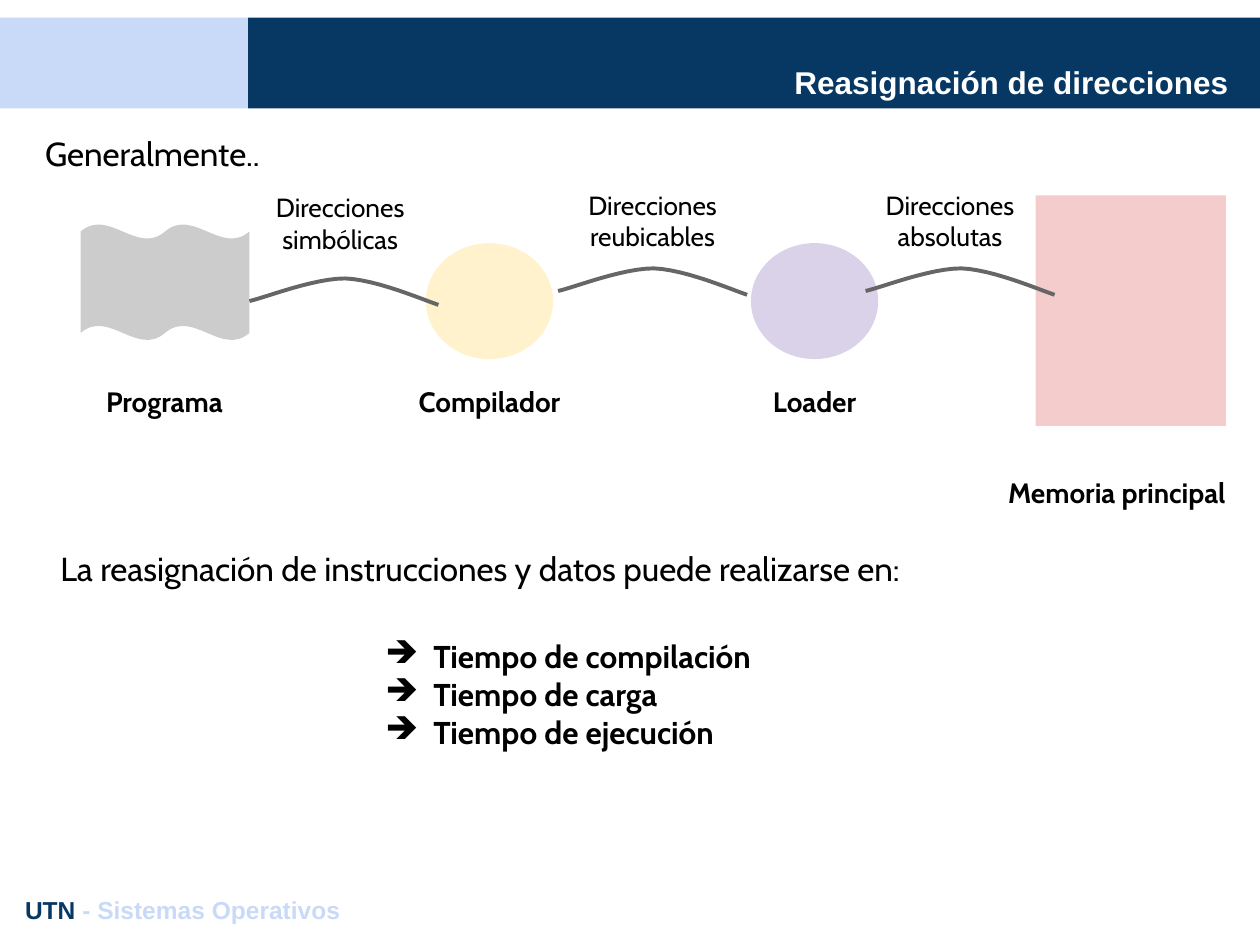
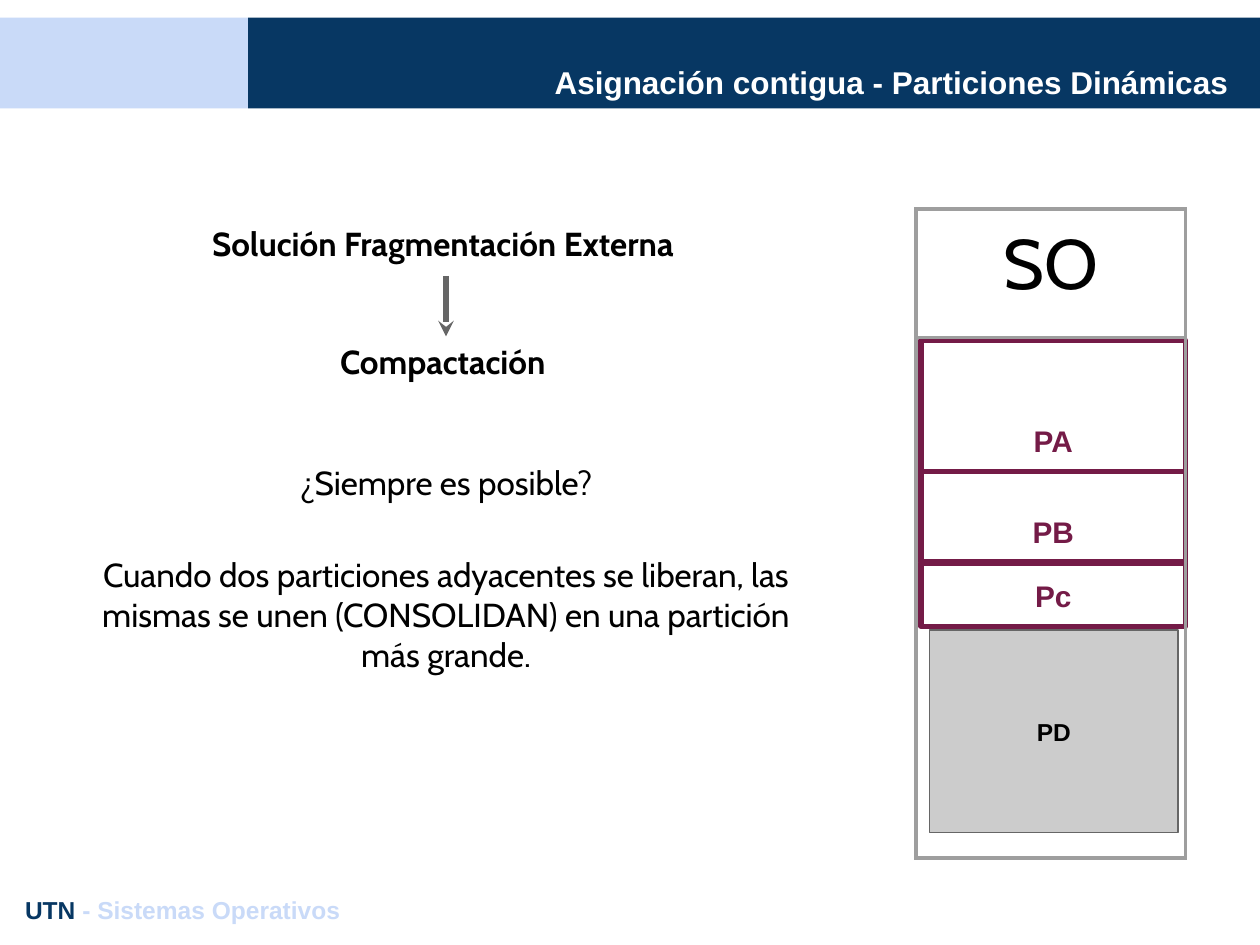
from typing import NamedTuple

from lxml import etree
from pptx import Presentation
from pptx import util as u
from pptx.dml.color import RGBColor
from pptx.enum import shapes, text
from pptx.oxml import ns

COLOURS = {
    "black": "000000", "white": "FFFFFF", "navy": "073763", "sky": "C9DAF8",
    "grey": "CCCCCC", "dark grey": "666666", "border": "9E9E9E", "wine": "741B47",
    "cream": "FFF2CC", "lilac": "D9D2E9", "pink": "F4CCCC",
}
LEFT, CENTER, RIGHT = text.PP_ALIGN.LEFT, text.PP_ALIGN.CENTER, text.PP_ALIGN.RIGHT
TOP, MIDDLE, BOTTOM = (text.MSO_ANCHOR.TOP, text.MSO_ANCHOR.MIDDLE,
                       text.MSO_ANCHOR.BOTTOM)
PRESET = shapes.MSO_SHAPE


class Box(NamedTuple):
    left: float
    top: float
    width: float
    height: float

    def lengths(self) -> list:
        return [u.Inches(value) for value in self]


class Style(NamedTuple):
    size: float
    bold: bool = False
    align: int = CENTER
    anchor: int = TOP
    colour: str = "black"
    font: str = "Cabin"


class Label(NamedTuple):
    words: str
    box: Box
    style: Style


class Block(NamedTuple):
    preset: int
    box: Box
    fill: str = ""
    line: str = ""
    weight: float = 0
    words: str = ""
    style: Style = Style(17)


TITLE = Style(18, True, RIGHT, BOTTOM, "white", "Arial")
FOOTER = Style(14, True, LEFT, font="Arial")
BODY = Style(19, align=LEFT)
CENTERED = Style(19)
HEADING = Style(19, True)
STAGE = Style(16, True)
ADDRESS = Style(15, anchor=BOTTOM)
BULLET = Style(18, True, LEFT)
PARTITION = Style(17, True, CENTER, BOTTOM, "wine", "Arial")
FREE_PARTITION = Style(14, True, CENTER, MIDDLE, font="Arial")

BANDS = [Block(PRESET.RECTANGLE, Box(0, 0.14, 1.97, 0.72), "sky"),
         Block(PRESET.RECTANGLE, Box(1.97, 0.14, 8.04, 0.72), "navy")]

# Cubic segments of the linking curve, as offsets from its start
LINK_CURVE = [
    ((0, 0), (0.13, -0.03), (0.51, -0.18), (0.76, -0.18)),
    ((0.76, -0.18), (1.01, -0.17), (1.38, -0.01), (1.5, 0.03)),
]


def rgb(name: str) -> RGBColor:
    return RGBColor.from_string(COLOURS[name])


def add_element(parent, tag: str, **attributes: str):
    element = etree.SubElement(parent, ns.qn(tag))
    for name, value in attributes.items():
        element.set(name, value)
    return element


def format_paragraph(paragraph, style: Style) -> None:
    paragraph.alignment = style.align
    font = paragraph.font
    font.name, font.size, font.bold = style.font, u.Pt(style.size), style.bold
    font.color.rgb = rgb(style.colour)


def write(frame, lines: list[str], style: Style, bullet: str = "") -> None:
    """Fill a text frame with one paragraph per line, all in one style."""
    frame.word_wrap = True
    frame.auto_size = text.MSO_AUTO_SIZE.NONE
    frame.vertical_anchor = style.anchor
    frame.margin_left = frame.margin_right = u.Inches(0.1)
    frame.margin_top = frame.margin_bottom = u.Inches(0.1)
    for index, line in enumerate(lines):
        paragraph = frame.add_paragraph() if index else frame.paragraphs[0]
        paragraph.text = line
        if bullet:
            properties = paragraph._p.get_or_add_pPr()
            properties.set("marL", str(u.Inches(0.5)))
            properties.set("indent", str(u.Inches(-0.38)))
            colour = add_element(properties, "a:buClr")
            add_element(colour, "a:srgbClr", val=COLOURS[style.colour])
            add_element(properties, "a:buChar", char=bullet)
        format_paragraph(paragraph, style)


def add_text(slide, box: Box, lines: list[str], style: Style, bullet: str = ""):
    frame = slide.shapes.add_textbox(*box.lengths()).text_frame
    write(frame, lines, style, bullet)
    return frame


def add_labels(slide, labels: list[Label]) -> None:
    for label in labels:
        add_text(slide, label.box, [label.words], label.style)


def add_block(slide, block: Block):
    shape = slide.shapes.add_shape(block.preset, *block.box.lengths())
    shape.shadow.inherit = False
    if block.fill:
        shape.fill.solid()
        shape.fill.fore_color.rgb = rgb(block.fill)
    else:
        shape.fill.background()
    if block.line:
        shape.line.color.rgb = rgb(block.line)
        shape.line.width = u.Pt(block.weight)
    else:
        shape.line.fill.background()
    if block.words:
        write(shape.text_frame, [block.words], block.style)
    return shape


def add_link(slide, left: float, top: float, steps: int = 12) -> None:
    """Draw the open curve that joins two stages, starting at left, top."""
    points = [(left, top)]
    for segment in LINK_CURVE:
        for step in range(1, steps + 1):
            t = step / steps
            weights = ((1 - t) ** 3, 3 * t * (1 - t) ** 2, 3 * t * t * (1 - t), t ** 3)
            points.append((
                left + sum(w * point[0] for w, point in zip(weights, segment)),
                top + sum(w * point[1] for w, point in zip(weights, segment))))
    points = [(u.Inches(x), u.Inches(y)) for x, y in points]
    builder = slide.shapes.build_freeform(*points[0])
    builder.add_line_segments(points[1:], close=False)
    curve = builder.convert_to_shape()
    curve.shadow.inherit = False
    curve.fill.background()
    curve.line.color.rgb = rgb("dark grey")
    curve.line.width = u.Pt(2.25)


def add_down_arrow(slide, x: float, top: float, bottom: float) -> None:
    arrow = slide.shapes.add_connector(
        shapes.MSO_CONNECTOR.STRAIGHT,
        u.Inches(x), u.Inches(top), u.Inches(x), u.Inches(bottom))
    arrow.line.color.rgb = rgb("dark grey")
    arrow.line.width = u.Pt(3)
    add_element(arrow.line._get_or_add_ln(), "a:tailEnd", type="stealth")
    add_element(arrow._element.spPr, "a:effectLst")


def add_memory_table(slide, box: Box, row_heights: list[float]) -> None:
    table = slide.shapes.add_table(len(row_heights), 1, *box.lengths()).table
    table.first_row = table.horz_banding = False
    for row, height in zip(table.rows, row_heights):
        row.height = u.Inches(height)
        cell = row.cells[0]
        properties = cell._tc.get_or_add_tcPr()
        for side in "LRTB":
            border = add_element(properties, f"a:ln{side}", w=str(u.Pt(2.25)))
            fill = add_element(border, "a:solidFill")
            add_element(fill, "a:srgbClr", val=COLOURS["border"])
        cell.fill.background()
    first_cell = table.cell(0, 0)
    first_cell.margin_top = first_cell.margin_bottom = u.Inches(0.1)
    first_cell.text = "SO"
    format_paragraph(first_cell.text_frame.paragraphs[0], Style(40))


def add_titled_slide(presentation, title: str):
    """Add a slide with the bands, title and footer that all slides share."""
    slide = presentation.slides.add_slide(presentation.slide_layouts[5])
    heading = slide.shapes.title
    for band in BANDS:
        heading._element.addprevious(add_block(slide, band)._element)
    heading.left, heading.top, heading.width, heading.height = Box(
        1.35, 0.4, 8.5, 0.5).lengths()
    write(heading.text_frame, [title], TITLE)

    frame = add_text(slide, Box(0.1, 7, 9.81, 0.44), ["UTN "], FOOTER)
    paragraph = frame.paragraphs[0]
    paragraph.add_run().text = "- Sistemas Operativos"
    for run, colour in zip(paragraph.runs, ("navy", "sky")):
        run.font.color.rgb = rgb(colour)
    return slide


def build_relocation(presentation) -> None:
    slide = add_titled_slide(presentation, "Reasignación de direcciones")
    for block in [
        Block(PRESET.DOUBLE_WAVE, Box(0.64, 1.78, 1.34, 0.92), "grey"),
        Block(PRESET.OVAL, Box(3.38, 1.93, 1.01, 0.92), "cream"),
        Block(PRESET.OVAL, Box(5.96, 1.93, 1.01, 0.92), "lilac"),
        Block(PRESET.RECTANGLE, Box(8.22, 1.55, 1.51, 1.83), "pink"),
    ]:
        add_block(slide, block)
    for left, top in [(1.98, 2.39), (4.43, 2.31), (6.87, 2.31)]:
        add_link(slide, left, top)
    add_labels(slide, [
        Label("Generalmente..", Box(0.26, 0.96, 8.19, 0.72), BODY),
        Label("Programa", Box(0.26, 2.95, 2.09, 0.72), STAGE),
        Label("Compilador", Box(2.84, 2.95, 2.09, 0.72), STAGE),
        Label("Loader", Box(5.42, 2.95, 2.09, 0.72), STAGE),
        Label("Memoria principal", Box(7.88, 3.67, 1.97, 0.72), STAGE),
        Label("Direcciones simbólicas", Box(2.03, 1.2, 1.34, 0.92), ADDRESS),
        Label("Direcciones reubicables", Box(4.51, 1.18, 1.34, 0.92), ADDRESS),
        Label("Direcciones absolutas", Box(6.87, 1.18, 1.34, 0.92), ADDRESS),
        Label("La reasignación de instrucciones y datos puede realizarse en:",
              Box(0.38, 4.25, 8.19, 0.72), BODY),
    ])
    add_text(slide, Box(2.84, 4.96, 5.38, 1.83),
             ["Tiempo de compilación", "Tiempo de carga", "Tiempo de ejecución"],
             BULLET, "➔")


def build_dynamic_partitions(presentation) -> None:
    slide = add_titled_slide(presentation, "Asignación contigua - Particiones Dinámicas")
    for words, top, height in [("PB", 3.74, 0.72), ("PA", 2.7, 1.04), ("Pc", 4.47, 0.5)]:
        add_block(slide, Block(PRESET.RECTANGLE, Box(7.31, top, 2.1, height),
                               "", "wine", 3, words, PARTITION))
    add_block(slide, Block(PRESET.RECTANGLE, Box(7.38, 5, 1.97, 1.61),
                           "grey", "dark grey", 0.75, "PD", FREE_PARTITION))
    solution = add_text(slide, Box(0.68, 1.67, 5.67, 2.13),
                        ["Solución Fragmentación Externa", "Compactación"], HEADING)
    solution.paragraphs[1].space_before = u.Pt(45)
    add_down_arrow(slide, 3.54, 2.19, 2.67)
    add_labels(slide, [
        Label("¿Siempre es posible?", Box(0.64, 3.57, 5.8, 0.72), CENTERED),
        Label("Cuando dos particiones adyacentes se liberan, las mismas se unen "
              "(CONSOLIDAN) en una partición más grande.",
              Box(0.64, 4.3, 5.8, 2.13), CENTERED),
    ])
    add_memory_table(slide, Box(7.27, 1.66, 2.14, 5.15), [1.02, 4.13])


def main() -> None:
    presentation = Presentation()
    presentation.slide_width, presentation.slide_height = u.Inches(10), u.Inches(7.5)
    build_relocation(presentation)
    build_dynamic_partitions(presentation)
    presentation.save("out.pptx")


if __name__ == "__main__":
    main()
